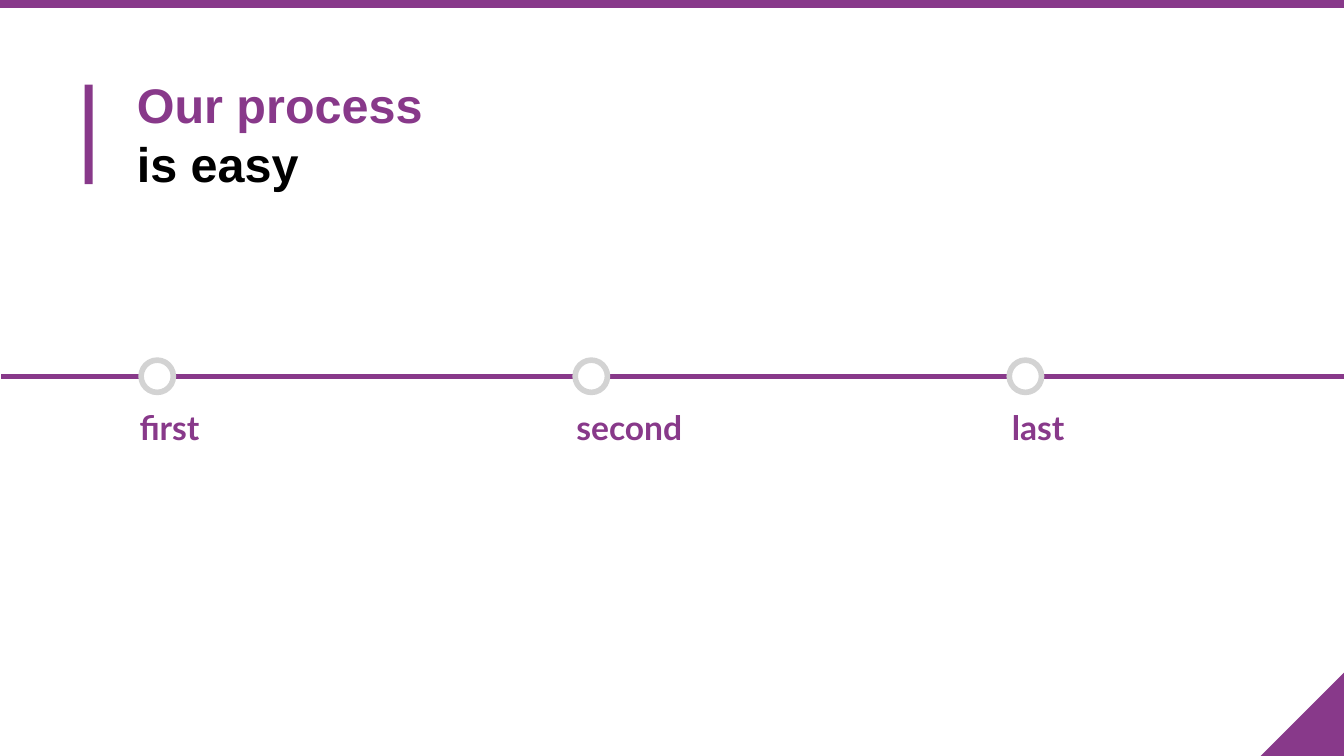
from dataclasses import dataclass

import pptx
import pptx.dml.color
import pptx.enum.shapes
import pptx.enum.text
import pptx.oxml.ns
import pptx.util
from lxml import etree
from pptx.enum.shapes import MSO_SHAPE
from pptx.util import Inches

PURPLE = "88398A"
BLACK = "000000"
WHITE = "FFFFFF"
GREY = "D3D3D3"
WIDTH = 10
HEIGHT = WIDTH * 9 / 16
CORNER_SIZE = 0.62
LINE_Y = 2.8
MARKER_SIZE = 0.24
FIRST_MARKER, MARKER_STEP = 1.05, 3.23


@dataclass
class Step:
    label: str
    left: float
    width: float


STEPS = [
    Step("first", 0.94, 1.29),
    Step("second", 4.19, 1.29),
    Step("last", 7.43, 1.17),
]


def color(value: str) -> pptx.dml.color.RGBColor:
    return pptx.dml.color.RGBColor.from_string(value)


def add_filled(page, kind: MSO_SHAPE, left: float, top: float,
               width: float, height: float, fill: str, outline: str = ""):
    shape = page.shapes.add_shape(
        kind, Inches(left), Inches(top), Inches(width), Inches(height))
    shape.shadow.inherit = False
    shape.fill.solid()
    shape.fill.fore_color.rgb = color(fill)
    if outline:
        shape.line.color.rgb = color(outline)
        shape.line.width = pptx.util.Pt(3)
    else:
        shape.line.fill.background()
    return shape


def add_text(page, left: float, top: float, width: float, height: float,
             lines: list[tuple[str, str]], font: str, size: int):
    box = page.shapes.add_textbox(
        Inches(left), Inches(top), Inches(width), Inches(height))
    frame = box.text_frame
    frame.word_wrap = True
    frame.vertical_anchor = pptx.enum.text.MSO_ANCHOR.TOP
    frame.margin_left = frame.margin_right = Inches(0.1)
    frame.margin_top = frame.margin_bottom = Inches(0.1)
    para = frame.paragraphs[0]
    para.font.name = font
    para.font.size = pptx.util.Pt(size)
    para.font.bold = True
    for index, (text, text_color) in enumerate(lines):
        if index:
            para.add_line_break()
        span = para.add_run()
        span.text = text
        span.font.color.rgb = color(text_color)
    return box


def add_timeline(page) -> None:
    line = page.shapes.add_connector(
        pptx.enum.shapes.MSO_CONNECTOR.STRAIGHT,
        Inches(0.01), Inches(LINE_Y), Inches(WIDTH), Inches(LINE_Y))
    line.line.color.rgb = color(PURPLE)
    line.line.width = pptx.util.Pt(3)
    etree.SubElement(line._element.spPr, pptx.oxml.ns.qn("a:effectLst"))
    for index, step in enumerate(STEPS):
        add_filled(page, MSO_SHAPE.OVAL, FIRST_MARKER + index * MARKER_STEP,
                   LINE_Y - MARKER_SIZE / 2, MARKER_SIZE, MARKER_SIZE, WHITE, GREY)
        add_text(page, step.left, 2.93, step.width, 0.45,
                 [(step.label, PURPLE)], "Lato", 18)


def main() -> None:
    deck = pptx.Presentation()
    deck.slide_width, deck.slide_height = Inches(WIDTH), Inches(HEIGHT)
    page = deck.slides.add_slide(deck.slide_layouts[6])

    corner = add_filled(page, MSO_SHAPE.RIGHT_TRIANGLE, WIDTH - CORNER_SIZE,
                        HEIGHT - CORNER_SIZE, CORNER_SIZE, CORNER_SIZE, PURPLE)
    corner.rotation = 270
    add_filled(page, MSO_SHAPE.RECTANGLE, 0.63, 0.63, 0.06, 0.74, PURPLE)
    add_filled(page, MSO_SHAPE.RECTANGLE, 0, 0, WIDTH, 0.06, PURPLE)

    title = add_text(page, 0.92, 0.46, 3.53, 0.94,
                     [("Our process", PURPLE), ("is easy", BLACK)], "Arial", 26)
    title.text_frame.paragraphs[0].line_spacing = pptx.util.Pt(31.2)

    add_timeline(page)
    deck.save("out.pptx")


if __name__ == "__main__":
    main()
